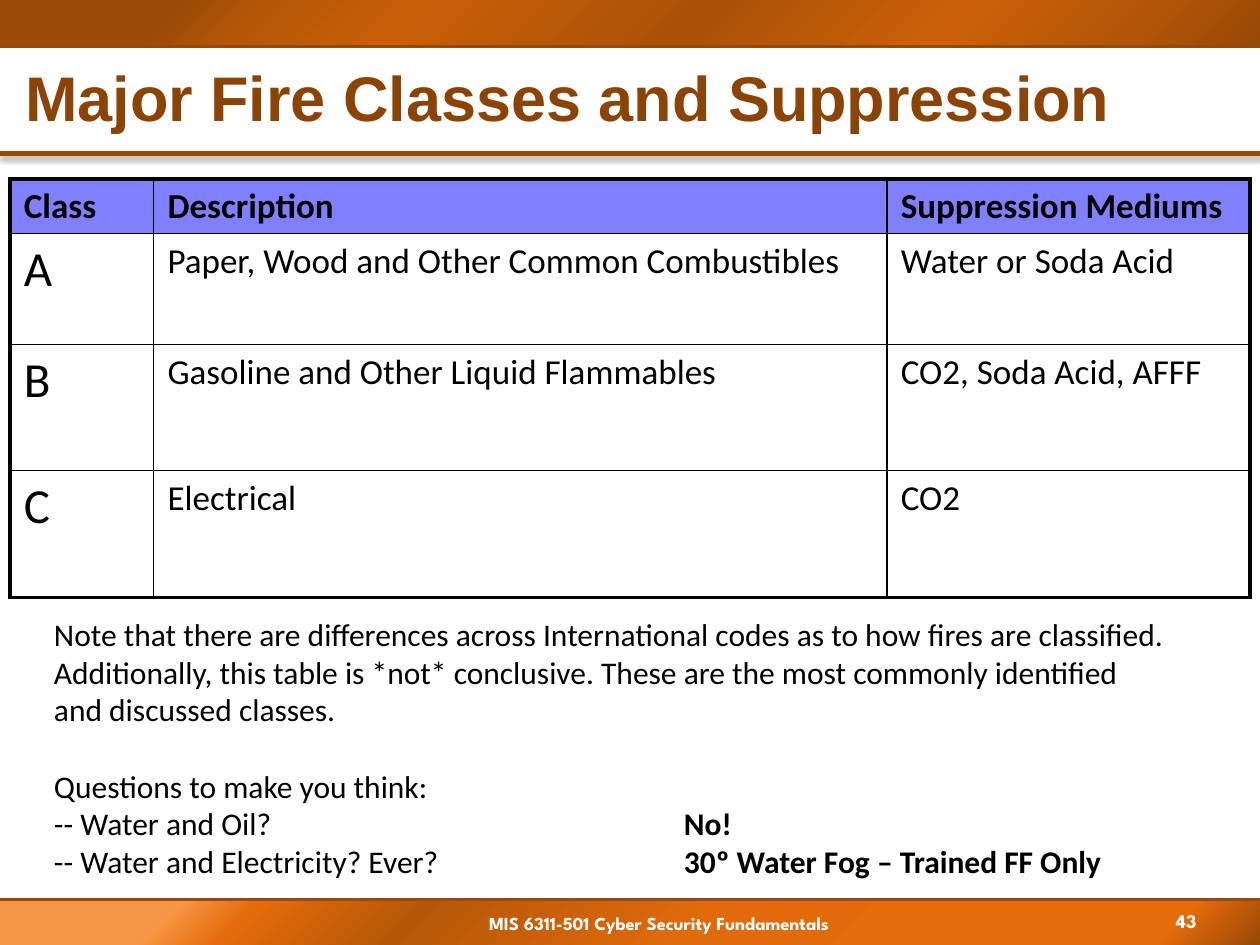
import pptx
import pptx.dml.color
import pptx.enum.dml
import pptx.enum.shapes
import pptx.enum.text
import pptx.oxml
import pptx.oxml.ns
import pptx.util
from lxml import etree

Inches, Pt = pptx.util.Inches, pptx.util.Pt
qn = pptx.oxml.ns.qn
ALIGN = pptx.enum.text.PP_ALIGN
ANCHOR = pptx.enum.text.MSO_ANCHOR


def rgb(hex_code):
    return pptx.dml.color.RGBColor.from_string(hex_code)


def add_node(parent, tag, **attributes):
    return etree.SubElement(parent, qn(tag), {k: str(v) for k, v in attributes.items()})


class FireSlide:
    rust = "984807"
    black = "000000"
    white = "FFFFFF"
    header_blue = "8080FF"
    body_font = "Calibri"
    footer_font = "League Spartan"
    thin, thick = 1, 2.25

    def __init__(self, slide):
        self.slide = slide

    def run(self, paragraph, text, size, font=body_font, color=black, bold=False):
        run = paragraph.add_run()
        run.text = text
        run.font.size, run.font.name, run.font.bold = Pt(size), font, bold
        run.font.color.rgb = rgb(color)

    def band(self, top, stops):
        """Full-width bar with a diagonal gradient of (percent, colour) stops."""
        bar = self.slide.shapes.add_shape(
            pptx.enum.shapes.MSO_SHAPE.RECTANGLE, 0, Inches(top), Inches(10), Inches(0.36))
        bar.shadow.inherit = False
        bar.line.fill.background()
        bar.fill.gradient()
        bar.fill.gradient_angle = 315
        stop_list = next(bar.element.iter(qn("a:gsLst")))
        for old_stop in list(stop_list):
            stop_list.remove(old_stop)
        for percent, color in stops:
            stop = add_node(stop_list, "a:gs", pos=percent * 1000)
            add_node(stop, "a:srgbClr", val=color)

    def rule(self, y, width, shadow=False):
        line = self.slide.shapes.add_connector(
            pptx.enum.shapes.MSO_CONNECTOR.STRAIGHT, 0, Inches(y), Inches(10), Inches(y))
        line.line.color.rgb = rgb(self.rust)
        line.line.width = Pt(width)
        effects = add_node(line.element.spPr, "a:effectLst")
        if shadow:
            outer = add_node(effects, "a:outerShdw", blurRad=Pt(3.1), dist=Pt(1.6),
                             dir=90 * 60000, rotWithShape=0)
            add_node(add_node(outer, "a:srgbClr", val=self.black), "a:alpha", val=38000)

    def text_box(self, left, top, width, height, inset=0.1):
        box = self.slide.shapes.add_textbox(*map(Inches, (left, top, width, height)))
        box.text_frame.word_wrap = True
        box.text_frame.margin_left = Inches(inset)
        return box.text_frame

    def label(self, place, text, size, inset=0.1):
        """Centred white footer text."""
        paragraph = self.text_box(*place, inset=inset).paragraphs[0]
        paragraph.alignment = ALIGN.CENTER
        self.run(paragraph, text, size, self.footer_font, self.white, True)

    def title(self, text):
        frame = self.text_box(0, 0.43, 10, 0.75, inset=0.2)
        frame.vertical_anchor = ANCHOR.MIDDLE
        frame.paragraphs[0].line_spacing = 0.9
        self.run(frame.paragraphs[0], text, 36, "Arial", "8C4306", True)

    def notes(self, place, paragraphs, tab_stop):
        """Paragraphs given as (space before, question, answer)."""
        frame = self.text_box(*place)
        for i, (space, text, answer) in enumerate(paragraphs):
            paragraph = frame.add_paragraph() if i else frame.paragraphs[0]
            if answer:
                tabs = add_node(paragraph._p.get_or_add_pPr(), "a:tabLst")
                add_node(tabs, "a:tab", pos=Inches(tab_stop), algn="l")
            paragraph.space_before = Pt(space)
            self.run(paragraph, text + ("\t" if answer else ""), 18)
            if answer:
                self.run(paragraph, answer, 18, bold=True)

    def borders(self, cell, **widths):
        for side in "LRTB":
            line = add_node(cell._tc.get_or_add_tcPr(), "a:ln" + side, w=Pt(widths[side]))
            add_node(add_node(line, "a:solidFill"), "a:srgbClr", val=self.black)

    def table(self, place, column_widths, row_heights, rows):
        table = self.slide.shapes.add_table(
            len(rows), len(column_widths), *map(Inches, place)).table
        table.first_row = table.horz_banding = False
        for column, width in zip(table.columns, column_widths):
            column.width = Inches(width)
        for row, height in zip(table.rows, row_heights):
            row.height = Inches(height)
        last_row, last_column = len(rows) - 1, len(column_widths) - 1
        for r, texts in enumerate(rows):
            for c, text in enumerate(texts):
                cell = table.cell(r, c)
                cell.margin_left = cell.margin_right = Inches(0.11)
                self.borders(cell,
                             L=self.thin if c else self.thick,
                             R=self.thick if c == last_column else self.thin,
                             T=self.thin if r else self.thick,
                             B=self.thick if r == last_row else self.thin)
                if r == 0:
                    cell.fill.solid()
                    cell.fill.fore_color.rgb = rgb(self.header_blue)
                else:
                    cell.fill.background()
                self.run(cell.text_frame.paragraphs[0], text,
                         28 if r and c == 0 else 20, bold=r == 0)


def main():
    deck = pptx.Presentation()
    deck.slide_width, deck.slide_height = Inches(10), Inches(7.5)
    fire = FireSlide(deck.slides.add_slide(deck.slide_layouts[6]))

    fire.band(7.14, [(14, "F79646"), (20, "E46C0A"), (33, "B65708"), (56, "E16B0A"),
                     (78, "E46C0A"), (92, "E46C0A"), (100, "984807")])
    fire.rule(1.22, 3, shadow=True)
    fire.label((1.42, 7.19, 7.42, 0.29), "MIS 6311-501 Cyber Security Fundamentals", 10.5, 0.3)
    fire.band(0, [(14, "9B4A07"), (21, "B65708"), (33, "C95F09"), (55, "AA5107"),
                  (75, "CC6109"), (89, "B35508"), (100, "984807")])
    for y in (7.14, 0.37):
        fire.rule(y, 1.5)

    fire.table((0.08, 1.42, 9.83, 3.33), (1.14, 5.82, 2.88), (0.42, 0.88, 1, 1.01), [
        ("Class", "Description", "Suppression Mediums"),
        ("A", "Paper, Wood and Other Common Combustibles", "Water or Soda Acid"),
        ("B", "Gasoline and Other Liquid Flammables", "CO2, Soda Acid, AFFF"),
        ("C", "Electrical", "CO2"),
    ])
    fire.title("Major Fire Classes and Suppression")
    fire.label((9, 7.17, 0.83, 0.29), "43", 11)
    fire.notes((0.33, 4.83, 9.08, 2.22), [
        (0, "Note that there are differences across International codes as to how fires are "
            "classified. Additionally, this table is *not* conclusive. These are the most "
            "commonly identified and discussed classes.", None),
        (22, "Questions to make you think:", None),
        (0, "-- Water and Oil?", "No!"),
        (0, "-- Water and Electricity? Ever?", "30º Water Fog – Trained FF Only"),
    ], tab_stop=5)
    deck.save("out.pptx")


if __name__ == "__main__":
    main()
